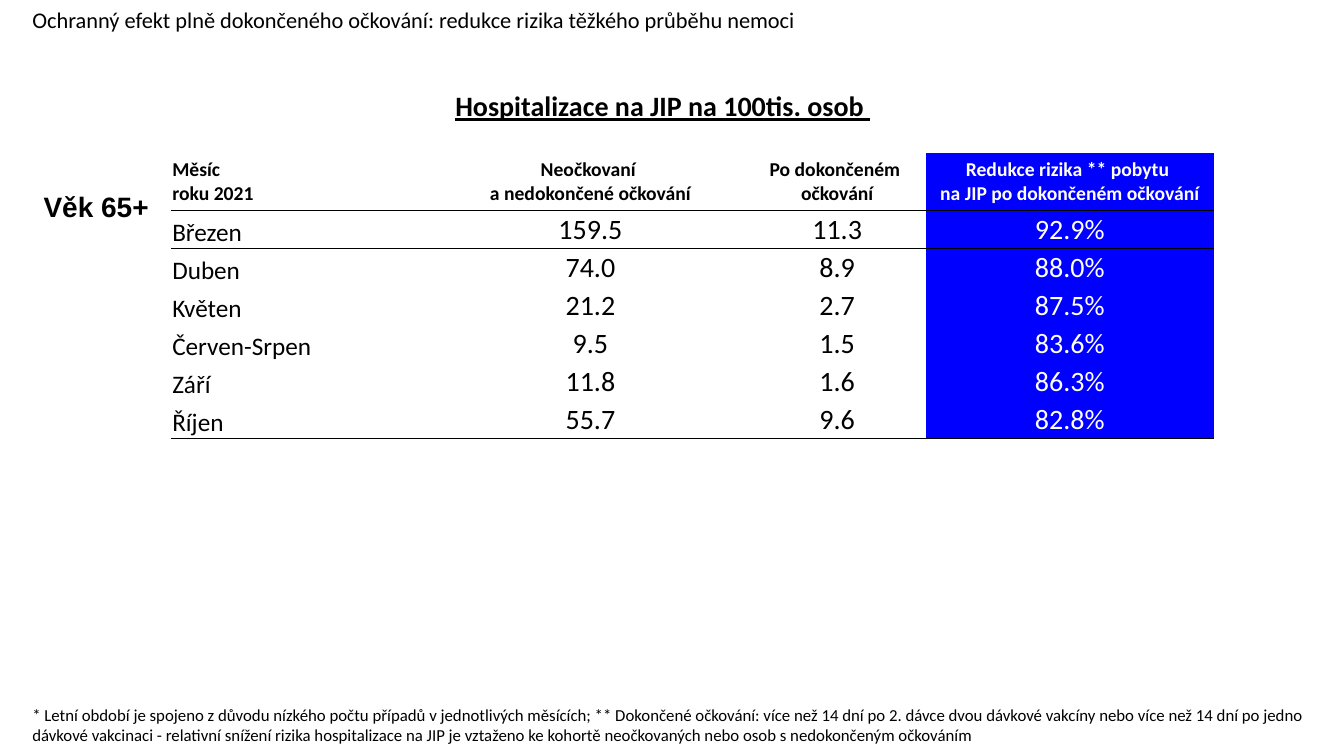
from dataclasses import dataclass

from pptx import Presentation
from pptx.dml.color import RGBColor
from pptx.enum.text import MSO_ANCHOR as Anchor, MSO_AUTO_SIZE as AutoSize, PP_ALIGN as Align
from pptx.oxml import parse_xml
from pptx.oxml.ns import nsdecls
from pptx.util import Pt

NO_GRID_STYLE = "{2D5ABB26-0587-4C30-8999-92F81FD0307C}"


@dataclass(frozen=True)
class Theme:
    font: str = "Calibri"
    label_font: str = "Arial"
    ink: str = "000000"
    accent: str = "0000FF"
    on_accent: str = "FFFFFF"
    title: int = 16
    heading: int = 20
    header: int = 14
    month: int = 18
    value: int = 20
    note: int = 12
    rule: int = 1


class SlideBuilder:
    def __init__(self, slide, theme):
        self.slide = slide
        self.theme = theme

    def format_text(self, text_frame, size, color=None, font=None, align=Align.LEFT,
                    bold=False, underline=False):
        for paragraph in text_frame.paragraphs:
            paragraph.alignment = align
            for run in paragraph.runs:
                run.font.name = font or self.theme.font
                run.font.size = Pt(size)
                run.font.bold = bold
                run.font.underline = underline
                run.font.color.rgb = RGBColor.from_string(color or self.theme.ink)

    def title(self, text, left, top, width, height):
        shape = self.slide.shapes.title
        shape.left, shape.top, shape.width, shape.height = map(Pt, (left, top, width, height))
        text_frame = shape.text_frame
        text_frame.text = text
        text_frame.word_wrap = True
        text_frame.auto_size = AutoSize.NONE
        text_frame.vertical_anchor = Anchor.TOP
        text_frame.paragraphs[0].line_spacing = 0.9
        self.format_text(text_frame, self.theme.title)

    def text(self, text, left, top, width, height, size, **style):
        shape = self.slide.shapes.add_textbox(*map(Pt, (left, top, width, height)))
        text_frame = shape.text_frame
        text_frame.text = text
        text_frame.word_wrap = True
        text_frame.auto_size = AutoSize.SHAPE_TO_FIT_TEXT
        self.format_text(text_frame, size, **style)

    def border(self, cell, side):
        cell._tc.get_or_add_tcPr().append(parse_xml(
            f'<a:ln{side} {nsdecls("a")} w="{Pt(self.theme.rule)}"><a:solidFill>'
            f'<a:srgbClr val="{self.theme.ink}"/></a:solidFill></a:ln{side}>'))

    def table(self, rows, left, top, column_widths, row_heights):
        frame = self.slide.shapes.add_table(
            len(rows), len(column_widths), Pt(left), Pt(top),
            Pt(sum(column_widths)), Pt(sum(row_heights)))
        table = frame.table
        table.first_row = table.horz_banding = False
        table._tbl.tblPr[0].text = NO_GRID_STYLE
        for column, width in zip(table.columns, column_widths):
            column.width = Pt(width)
        for row, height in zip(table.rows, row_heights):
            row.height = Pt(height)
        for row_index, values in enumerate(rows):
            for column_index, value in enumerate(values):
                self.table_cell(table.cell(row_index, column_index), value,
                                row_index, column_index, len(rows) - 1)

    def table_cell(self, cell, value, row, column, last_row):
        theme = self.theme
        is_header, is_month = row == 1, column == 0
        is_accent = row > 0 and column == 3
        cell.margin_left = cell.margin_right = cell.margin_top = Pt(0.7)
        cell.margin_bottom = Pt(0)
        cell.vertical_anchor = Anchor.BOTTOM if is_month and not is_header else Anchor.MIDDLE
        cell.text_frame.text = value
        size = theme.header if is_header else theme.month if is_month else theme.value
        self.format_text(cell.text_frame, size, bold=is_header,
                         color=theme.on_accent if is_accent else theme.ink,
                         align=Align.LEFT if is_month else Align.CENTER)
        # Rules under the header and under the last month
        if row == 2:
            self.border(cell, "T")
        if row in (1, last_row):
            self.border(cell, "B")
        if is_accent:
            cell.fill.solid()
            cell.fill.fore_color.rgb = RGBColor.from_string(theme.accent)
        else:
            cell.fill.background()


# The empty first row keeps the space above the header
ICU_ROWS = [
    ("", "", "", ""),
    ("Měsíc\nroku 2021", "Neočkovaní \na nedokončené očkování",
     "Po dokončeném \nočkování", "Redukce rizika ** pobytu \nna JIP po dokončeném očkování"),
    ("Březen", "159.5", "11.3", "92.9%"),
    ("Duben", "74.0", "8.9", "88.0%"),
    ("Květen", "21.2", "2.7", "87.5%"),
    ("Červen-Srpen", "9.5", "1.5", "83.6%"),
    ("Září", "11.8", "1.6", "86.3%"),
    ("Říjen", "55.7", "9.6", "82.8%"),
]
FOOTNOTE = (
    "* Letní období je spojeno z důvodu nízkého počtu případů v jednotlivých měsících; "
    "** Dokončené očkování: více než 14 dní po 2. dávce dvou dávkové vakcíny nebo více než "
    "14 dní po jedno dávkové vakcinaci - relativní snížení rizika hospitalizace na JIP je "
    "vztaženo ke kohortě neočkovaných nebo osob s nedokončeným očkováním")


def main():
    presentation = Presentation()
    presentation.slide_width, presentation.slide_height = Pt(960), Pt(540)
    slide = presentation.slides.add_slide(presentation.slide_layouts[5])
    theme = Theme()
    builder = SlideBuilder(slide, theme)

    # Title and age group
    builder.title("Ochranný efekt plně dokončeného očkování: redukce rizika těžkého průběhu nemoci",
                  16, 3, 914, 104)
    builder.text("Věk 65+", 24, 132, 106.5, 31.5, theme.heading,
                 font=theme.label_font, bold=True)

    # Table with its heading
    row_height = 27.15
    builder.table(ICU_ROWS, 122.4, 82.1, (186.4, 226, 126.5, 205.8),
                  [row_height, 41] + [row_height] * 6)
    builder.text("Hospitalizace na JIP na 100tis. osob ", 293, 60, 361, 31.5, theme.heading,
                 align=Align.CENTER, bold=True, underline=True)

    # Footnote
    builder.text(FOOTNOTE, 16, 500, 935, 36, theme.note)

    presentation.save("out.pptx")


if __name__ == "__main__":
    main()
